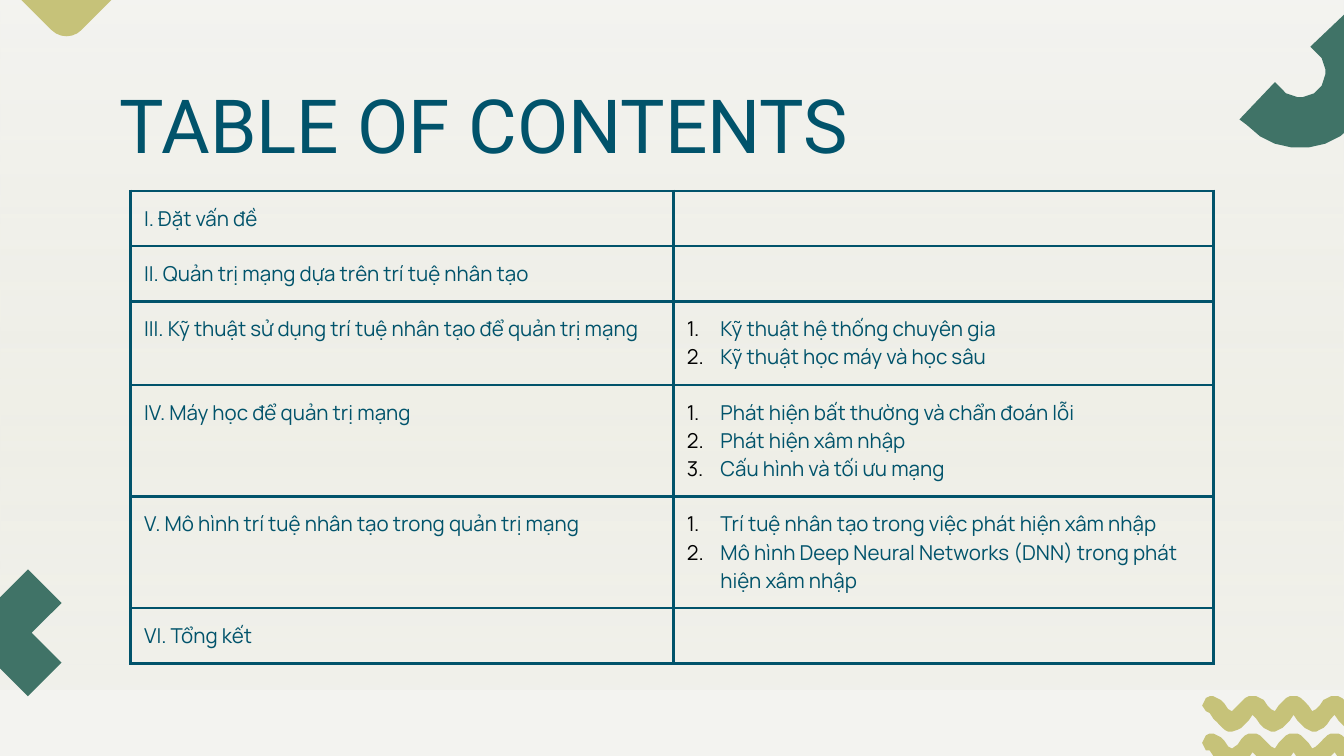
from math import cos, pi, radians, sin, sqrt

from lxml import etree
from pptx import Presentation
from pptx.dml.color import RGBColor
from pptx.enum.shapes import MSO_SHAPE as Preset
from pptx.enum.text import MSO_ANCHOR as Anchor, MSO_AUTO_SIZE as AutoSize, PP_ALIGN as Align
from pptx.oxml import parse_xml
from pptx.oxml.ns import nsdecls, qn
from pptx.util import Pt

TEAL = RGBColor(0x01, 0x53, 0x6B)
GREEN = RGBColor(0x40, 0x73, 0x67)
OLIVE = RGBColor(0xC6, 0xC2, 0x79)
PAPER = RGBColor(0xF3, 0xF3, 0xF0)
SAND = RGBColor(0xED, 0xED, 0xE3)
BLACK = RGBColor(0, 0, 0)

CONTENTS = [
    ("I. Đặt vấn đề", []),
    ("II. Quản trị mạng dựa trên trí tuệ nhân tạo", []),
    ("III. Kỹ thuật sử dụng trí tuệ nhân tạo để quản trị mạng",
     ["Kỹ thuật hệ thống chuyên gia", "Kỹ thuật học máy và học sâu"]),
    ("IV. Máy học để quản trị mạng",
     ["Phát hiện bất thường và chẩn đoán lỗi", "Phát hiện xâm nhập",
      "Cấu hình và tối ưu mạng"]),
    ("V. Mô hình trí tuệ nhân tạo trong quản trị mạng",
     ["Trí tuệ nhân tạo trong việc phát hiện xâm nhập",
      "Mô hình Deep Neural Networks (DNN) trong phát hiện xâm nhập"]),
    ("VI. Tổng kết", []),
]


def arc(cx, cy, radius, start, end, steps=14):
    angles = [radians(start + (end - start) * i / steps) for i in range(steps + 1)]
    return [(cx + radius * cos(a), cy + radius * sin(a)) for a in angles]


def wave_outline(left, middle, period, crests, pen, steps=48):
    """Outline of a cosine wave drawn with a round pen of the given radius."""
    length = period * (crests - 1)
    track = [(i / 4, -pen * cos(2 * pi * i / 4 / period)) for i in range(round(length * 4) + 1)]
    upper, lower = [], []
    for i in range(steps + 1):
        x = -pen + (length + 2 * pen) * i / steps
        near = [(y, sqrt(max(0, pen ** 2 - (x - u) ** 2)))
                for u, y in track if abs(x - u) <= pen + 0.25]
        upper.append((left + x, middle + min(y - reach for y, reach in near)))
        lower.append((left + x, middle + max(y + reach for y, reach in near)))
    return upper + lower[::-1]


def cross_outline(cx, cy, near, far, notch):
    points = [(0, -notch), (near, -far), (far, -near)]
    for _ in range(3):
        points += [(-y, x) for x, y in points[-3:]]
    return [(cx + x, cy + y) for x, y in points]


def arch_outline(cx, cy, inner, outer, leg):
    """Half ring turned by 45 degrees, with a short straight leg at each end."""
    inside, outside = arc(cx, cy, inner, -45, 135), arc(cx, cy, outer, 135, -45)
    feet = [(x - leg, y - leg)
            for x, y in (inside[-1], outside[0], outside[-1], inside[0])]
    return inside + feet[:2] + outside + feet[2:]


class ContentsSlide:
    title_font, title_size = "Roboto", Pt(40)
    text_font, text_size = "Manrope", Pt(11)
    inset, border = Pt(7.2), Pt(1.5)
    row_height, line_height = 29.5, 15

    def __init__(self, deck):
        self.slide = deck.slides.add_slide(deck.slide_layouts[5])
        self.shapes = self.slide.shapes
        fill = self.slide.background.fill
        fill.solid()
        fill.fore_color.rgb = PAPER

    def paint(self, shape, color):
        shape.shadow.inherit = False
        shape.fill.solid()
        shape.fill.fore_color.rgb = color
        shape.line.fill.background()

    def backdrop(self, left, top, width, height):
        panel = self.shapes.add_shape(Preset.RECTANGLE, Pt(left), Pt(top), Pt(width), Pt(height))
        self.paint(panel, PAPER)
        stops = "".join(
            f'<a:gs pos="{pos}000"><a:srgbClr val="{color}"><a:alpha val="{alpha}000"/>'
            "</a:srgbClr></a:gs>"
            for pos, color, alpha in ((0, PAPER, 100), (64, SAND, 66), (100, SAND, 40)))
        gradient = parse_xml(f'<a:gradFill {nsdecls("a")}><a:gsLst>{stops}</a:gsLst>'
                             '<a:lin ang="5400000" scaled="0"/></a:gradFill>')
        properties = panel.element.spPr
        properties.replace(properties.find(qn("a:solidFill")), gradient)
        self.shapes.element.insert(2, panel.element)  # behind the title

    def outline(self, points, color):
        builder = self.shapes.build_freeform(*points[0], scale=float(Pt(1)))
        builder.add_line_segments(points[1:], close=True)
        self.paint(builder.convert_to_shape(), color)

    def rounded_diamond(self, cx, cy, side, radius, color):
        diamond = self.shapes.add_shape(Preset.ROUNDED_RECTANGLE, Pt(cx - side / 2),
                                        Pt(cy - side / 2), Pt(side), Pt(side))
        diamond.adjustments[0] = radius / side
        diamond.rotation = 45
        self.paint(diamond, color)

    def style(self, paragraph, font, size):
        paragraph.alignment = Align.LEFT
        paragraph.font.name = font
        paragraph.font.size = size
        paragraph.font.color.rgb = TEAL

    def title(self, text, left, top, width, height):
        title = self.shapes.title
        title.left, title.top, title.width, title.height = map(Pt, (left, top, width, height))
        frame = title.text_frame
        frame.text = text
        frame.auto_size = AutoSize.NONE
        frame.vertical_anchor = Anchor.TOP
        frame.margin_left = frame.margin_right = self.inset
        frame.margin_top = frame.margin_bottom = self.inset
        self.style(frame.paragraphs[0], self.title_font, self.title_size)

    def number(self, paragraph):
        properties = paragraph._p.get_or_add_pPr()
        properties.set("marL", str(Pt(18)))
        properties.set("indent", str(-Pt(18)))
        color = etree.SubElement(properties, qn("a:buClr"))
        etree.SubElement(color, qn("a:srgbClr"), val=str(BLACK))
        etree.SubElement(properties, qn("a:buFont"), typeface=self.text_font)
        etree.SubElement(properties, qn("a:buAutoNum"), type="arabicPeriod")

    def cell(self, cell, lines, numbered=False):
        cell.margin_left = cell.margin_right = self.inset
        cell.margin_top = cell.margin_bottom = self.inset
        cell.text = "\n".join(lines)
        for paragraph in cell.text_frame.paragraphs:
            if numbered and lines:
                self.number(paragraph)
            self.style(paragraph, self.text_font, self.text_size)
        properties = cell._tc.get_or_add_tcPr()
        for side in ("lnL", "lnR", "lnT", "lnB"):
            properties.append(parse_xml(
                f'<a:{side} {nsdecls("a")} w="{self.border}"><a:solidFill>'
                f'<a:srgbClr val="{TEAL}"/></a:solidFill></a:{side}>'))
        cell.fill.background()

    def contents_table(self, entries, left, top, widths):
        heights = [self.row_height + self.line_height * max(0, len(topics) - 1)
                   for _, topics in entries]
        table = self.shapes.add_table(len(entries), len(widths), Pt(left), Pt(top),
                                      Pt(sum(widths)), Pt(sum(heights))).table
        table.first_row = table.horz_banding = False
        for column, width in zip(table.columns, widths):
            column.width = Pt(width)
        for row, height, (chapter, topics) in zip(table.rows, heights, entries):
            row.height = Pt(height)
            self.cell(row.cells[0], [chapter])
            self.cell(row.cells[1], topics, numbered=True)


def main():
    deck = Presentation()
    deck.slide_width, deck.slide_height = Pt(720), Pt(405)
    page = ContentsSlide(deck)
    page.backdrop(0, -5.8, 720, 375)
    for middle in (382.3, 402.5):
        page.outline(wave_outline(649, middle, 21.95, 5, 4.7), OLIVE)
    page.outline(cross_outline(-1, 338.8, 16.2, 34.2, 18), GREEN)
    page.outline(arch_outline(696.6, 38.6, 13.6, 40.6, 3.8), GREEN)
    page.rounded_diamond(35.6, -10.1, 48.4, 11.3, OLIVE)
    page.title("TABLE OF CONTENTS", 57, 35.3, 607, 45.4)
    page.contents_table(CONTENTS, 70, 102.3, (290.8, 289.4))
    deck.save("out.pptx")


if __name__ == "__main__":
    main()
